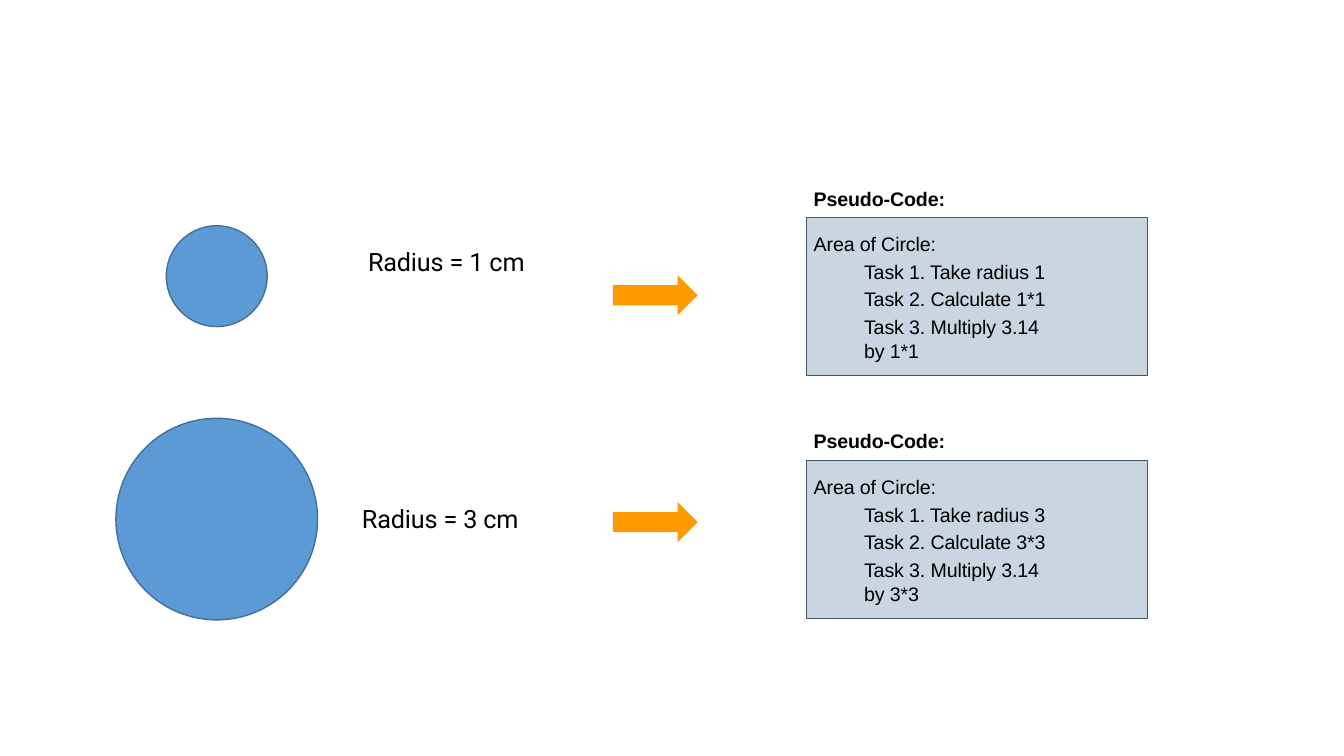
from dataclasses import dataclass
from lxml.etree import SubElement
from pptx import Presentation
from pptx.dml.color import RGBColor as RGB
from pptx.enum.shapes import MSO_SHAPE as SHAPE
from pptx.enum.text import MSO_ANCHOR as ANCHOR, PP_ALIGN as ALIGN
from pptx.oxml.ns import qn
from pptx.util import Inches, Pt


@dataclass(frozen=True)
class Theme:
    circle: RGB = RGB(0x5B, 0x9A, 0xD4)
    circle_line: RGB = RGB(0x42, 0x70, 0x9A)
    arrow: RGB = RGB(0xFF, 0x99, 0x00)
    box: RGB = RGB(0x0B, 0x46, 0x79)
    box_line: RGB = RGB(0x44, 0x54, 0x69)
    text: RGB = RGB(0, 0, 0)
    radius_font: str = "Roboto"
    code_font: str = "Arial"
    radius_size: int = 18
    code_size: int = 14


theme = Theme()


def add_shape(kind, x, y, w, h, fill, line=None, weight=1):
    sp = s.shapes.add_shape(kind, Inches(x), Inches(y), Inches(w), Inches(h))
    sp.shadow.inherit = False
    sp.fill.solid()
    sp.fill.fore_color.rgb = fill
    if line is None:
        sp.line.fill.background()
    else:
        sp.line.color.rgb = line
        sp.line.width = Pt(weight)
    return sp


def write(sp, lines, font, size, left=0.01, top=0.02, right=0, bold=False):
    tf = sp.text_frame
    tf.word_wrap = True
    tf.vertical_anchor = ANCHOR.TOP
    tf.margin_left, tf.margin_top = Inches(left), Inches(top)
    tf.margin_right, tf.margin_bottom = Inches(right), 0
    tf.text = "\n".join(lines)
    for p in tf.paragraphs:
        p.alignment = ALIGN.LEFT
        for r in p.runs:
            r.font.name, r.font.size, r.font.bold = font, Pt(size), bold
            r.font.color.rgb = theme.text
            r._r.get_or_add_rPr().set("spc", "-10")
    return tf


prs = Presentation()
prs.slide_width, prs.slide_height = Inches(13.33), Inches(7.5)
s = prs.slides.add_slide(prs.slide_layouts[6])

CIRCLE_X = 2.15
ROW_STEP = 2.41
rows = [
    (1, 1, 3.64, 2.42, 2.73),
    (3, 2, 3.58, 4.97, 4.98),
]

for i, (radius, diameter, radius_x, radius_y, arrow_y) in enumerate(rows):
    offset = i * ROW_STEP
    add_shape(SHAPE.OVAL, CIRCLE_X - diameter / 2, 2.74 + offset - diameter / 2,
              diameter, diameter, theme.circle, theme.circle_line)

    label = s.shapes.add_textbox(Inches(radius_x), Inches(radius_y), Inches(1.65), Inches(0.33))
    write(label, [f"Radius = {radius} cm"], theme.radius_font, theme.radius_size)

    add_shape(SHAPE.RIGHT_ARROW, 6.08, arrow_y, 0.84, 0.4, theme.arrow)

    heading = s.shapes.add_textbox(Inches(8.06), Inches(1.83 + offset), Inches(1.4), Inches(0.26))
    write(heading, ["Pseudo-Code:"], theme.code_font, theme.code_size, bold=True)

    box = add_shape(SHAPE.RECTANGLE, 8, 2.16 + offset, 3.38, 1.57,
                    theme.box, theme.box_line, 0.75)
    color = box.fill._xPr.find(qn("a:solidFill"))[0]
    SubElement(color, qn("a:alpha")).set("val", "22000")
    steps = [
        "Area of Circle:",
        f"Task 1. Take radius {radius}",
        f"Task 2. Calculate {radius}*{radius}",
        f"Task 3. Multiply 3.14 by {radius}*{radius}",
    ]
    tf = write(box, steps, theme.code_font, theme.code_size, left=0.07, top=0.14, right=0.93)
    for p in tf.paragraphs[1:]:
        p.space_before = Pt(3)
        p._p.get_or_add_pPr().set("marL", str(Inches(0.5)))

prs.save("out.pptx")
